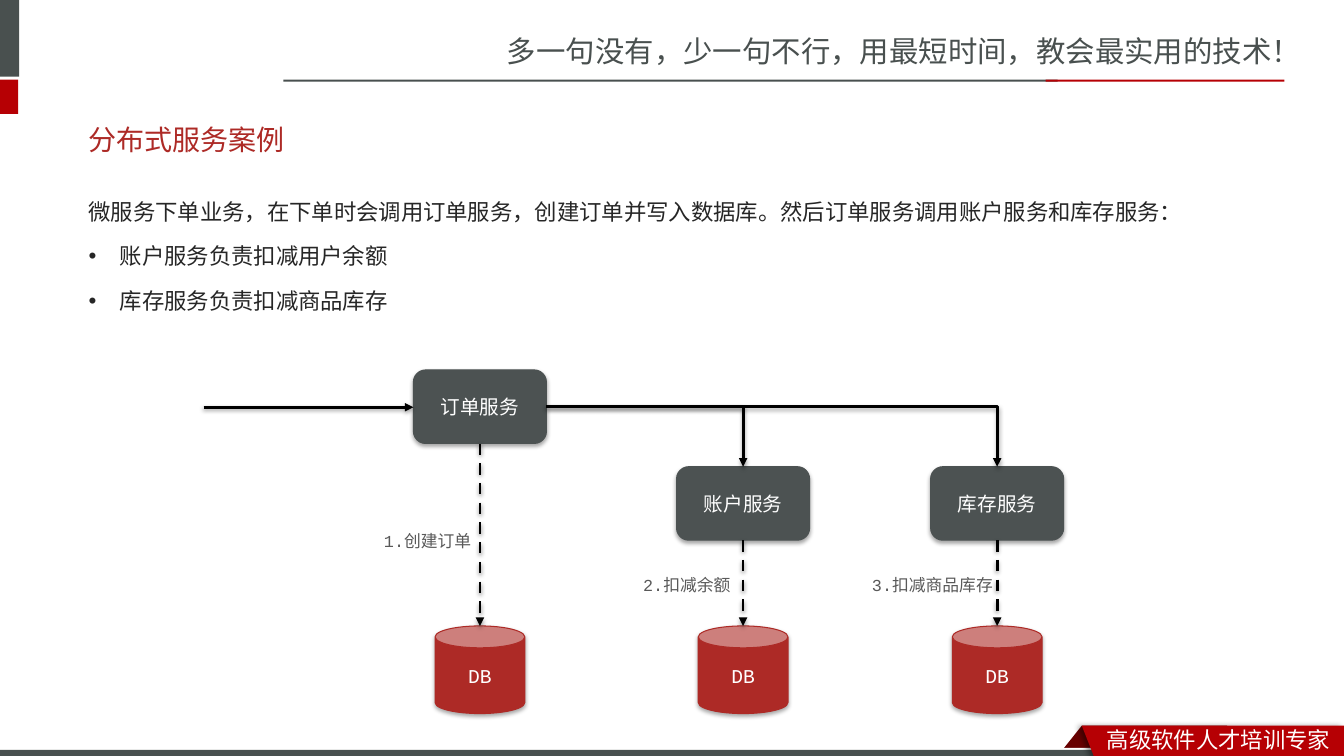
from lxml import etree
from pptx import Presentation
from pptx.dml.color import RGBColor
from pptx.enum import dml, shapes, text
from pptx.oxml.ns import qn
from pptx.util import Inches, Pt

DARK = RGBColor(0x49, 0x50, 0x4F)
RED = RGBColor(0xB6, 0x00, 0x04)
MAROON = RGBColor(0x68, 0x00, 0x00)
SERVICE = RGBColor(0x4C, 0x52, 0x52)
BRICK = RGBColor(0xAD, 0x2A, 0x26)
BODY = RGBColor(0x26, 0x26, 0x26)
LABEL = RGBColor(0x59, 0x59, 0x59)
BLACK = RGBColor(0, 0, 0)
WHITE = RGBColor(0xFF, 0xFF, 0xFF)
SANS = "Noto Sans CJK SC"
MONO = "Courier New"
SHAPE = shapes.MSO_SHAPE
SERVICE_W, SERVICE_H = 1.32, 0.73
DB_W, DB_H, DB_TOP = 0.89, 0.87, 6.21


def style_text(p, size, font, color):
    for r in p.runs:
        r.font.size, r.font.name = Pt(size), font
        r.font.color.rgb = color
        if font != MONO:
            etree.SubElement(r.font._element, qn("a:ea"), typeface=font)


def add_shadow(sp, alpha, blur, dist, angle):
    """Give a shape or connector an outer black shadow; call after its line is set."""
    props = sp._element.spPr
    effects = props.find(qn("a:effectLst"))
    if effects is None:
        effects = etree.SubElement(props, qn("a:effectLst"))
    shadow = etree.SubElement(effects, qn("a:outerShdw"), blurRad=str(Pt(blur)),
                              dist=str(Pt(dist)), dir=str(angle * 60000), rotWithShape="0")
    color = etree.SubElement(shadow, qn("a:srgbClr"), val="000000")
    etree.SubElement(color, qn("a:alpha"), val=str(alpha * 1000))


def paint(sp, fill, line=None):
    sp.shadow.inherit = False
    sp.fill.solid()
    sp.fill.fore_color.rgb = fill
    if line is None:
        sp.line.fill.background()
    else:
        sp.line.color.rgb, sp.line.width = line, Pt(0.75)


def add_block(s, kind, box, fill):
    sp = s.shapes.add_shape(kind, *map(Inches, box))
    paint(sp, fill)
    return sp


def add_text(s, box, content, size, font, color, wrap=True):
    tf = s.shapes.add_textbox(*map(Inches, box)).text_frame
    tf.word_wrap = wrap
    tf.text = content
    for p in tf.paragraphs:
        style_text(p, size, font, color)
    return tf


def add_node(s, kind, box, fill, name):
    sp = s.shapes.add_shape(kind, *map(Inches, box))
    paint(sp, fill, fill)
    add_shadow(sp, 35, 3.1, 1.8, 90)
    tf = sp.text_frame
    tf.text = name
    tf.vertical_anchor = text.MSO_ANCHOR.MIDDLE
    tf.paragraphs[0].alignment = text.PP_ALIGN.CENTER
    style_text(tf.paragraphs[0], 14, MONO, WHITE)
    return sp


def style_arrow(cx, dashed=False):
    cx.line.color.rgb, cx.line.width = BLACK, Pt(2)
    if dashed:
        cx.line.dash_style = dml.MSO_LINE.DASH
    etree.SubElement(cx.line._get_or_add_ln(), qn("a:tailEnd"), type="triangle")
    add_shadow(cx, 38, 3.1, 1.6, 90)


def add_arrow(s, start, end, dashed=False):
    cx = s.shapes.add_connector(shapes.MSO_CONNECTOR.STRAIGHT,
                                *map(Inches, start + end))
    style_arrow(cx, dashed)


def add_elbow(s, source, target):
    """Run right from source, then down with one bend into the top of target."""
    cx = s.shapes.add_connector(shapes.MSO_CONNECTOR.ELBOW, 0, 0, 0, 0)
    cx.begin_connect(source, 3)
    cx.end_connect(target, 0)
    cx._element.spPr.find(qn("a:prstGeom")).set("prst", "bentConnector2")
    style_arrow(cx)


def add_frame(s):
    fold = add_block(s, SHAPE.PARALLELOGRAM, (10.49, 7.2, 1.68, 0.3), MAROON)
    fold.adjustments[0] = 0.796
    for box, fill in [((0, 7.42, 13.33, 0.11), WHITE),
                      ((-0.06, 0, 0.25, 0.76), DARK),
                      ((-0.06, 0.79, 0.24, 0.34), RED),
                      ((2.81, 0.79, 7.68, 0.02), DARK),
                      ((10.37, 0.79, 2.37, 0.02), RED),
                      ((0, 7.44, 10.99, 0.09), DARK)]:
        add_block(s, SHAPE.RECTANGLE, box, fill)
    add_text(s, (4.93, 0.28, 8.41, 0.47),
             "多一句没有，少一句不行，用最短时间，教会最实用的技术！", 21, SANS, DARK)
    outline = s.shapes.build_freeform(Inches(10.73), Inches(7.2))
    outline.add_line_segments([(Inches(x), Inches(y)) for x, y in
                               [(13.33, 7.2), (13.33, 7.54), (10.86, 7.53)]])
    ribbon = outline.convert_to_shape()
    paint(ribbon, RED)
    add_shadow(ribbon, 40, 4, 3, 180)
    add_text(s, (10.88, 7.15, 2.45, 0.37), "高级软件人才培训专家", 16, SANS, WHITE)


def add_body(s):
    title = add_text(s, (0.78, 1.1, 11.7, 0.57), "分布式服务案例", 20, "Arial", BRICK)
    title.vertical_anchor = text.MSO_ANCHOR.MIDDLE
    tf = add_text(s, (0.78, 1.78, 11.7, 1.76),
                  "微服务下单业务，在下单时会调用订单服务，创建订单并写入数据库。"
                  "然后订单服务调用账户服务和库存服务：\n"
                  "账户服务负责扣减用户余额\n库存服务负责扣减商品库存",
                  16, "Noto Sans CJK JP", BODY)
    for i, p in enumerate(tf.paragraphs):
        p.line_spacing = 1.5
        if i:
            p.space_before = Pt(3.2)
            props = p._p.get_or_add_pPr()
            props.set("marL", str(Inches(0.31)))
            props.set("indent", str(-Inches(0.31)))
            etree.SubElement(props, qn("a:buFont"), typeface="Arial")
            etree.SubElement(props, qn("a:buChar"), char="•")


def add_diagram(s):
    services = []
    for name, center, top in [("订单服务", 4.76, 3.67), ("账户服务", 7.37, 4.63),
                              ("库存服务", 9.89, 4.63)]:
        services.append(add_node(s, SHAPE.ROUNDED_RECTANGLE,
                                 (center - SERVICE_W / 2, top, SERVICE_W, SERVICE_H),
                                 SERVICE, name))
        add_node(s, SHAPE.CAN, (center - DB_W / 2, DB_TOP, DB_W, DB_H), BRICK, "DB")
        add_arrow(s, (center, top + SERVICE_H), (center, DB_TOP), dashed=True)
    order, *called = services
    add_arrow(s, (2.02, 4.04), (4.1, 4.04))
    for service in called:
        add_elbow(s, order, service)
    for label, left, top, width in [("1.创建订单", 3.71, 5.22, 1.11),
                                    ("2.扣减余额", 6.28, 5.65, 1.11),
                                    ("3.扣减商品库存", 8.55, 5.65, 1.57)]:
        add_text(s, (left, top, width, 0.3), label, 12, MONO, LABEL, wrap=False)


def main():
    prs = Presentation()
    prs.slide_width, prs.slide_height = Inches(13.33), Inches(7.5)
    s = prs.slides.add_slide(prs.slide_layouts[6])
    add_frame(s)
    add_body(s)
    add_diagram(s)
    prs.save("out.pptx")


if __name__ == "__main__":
    main()
